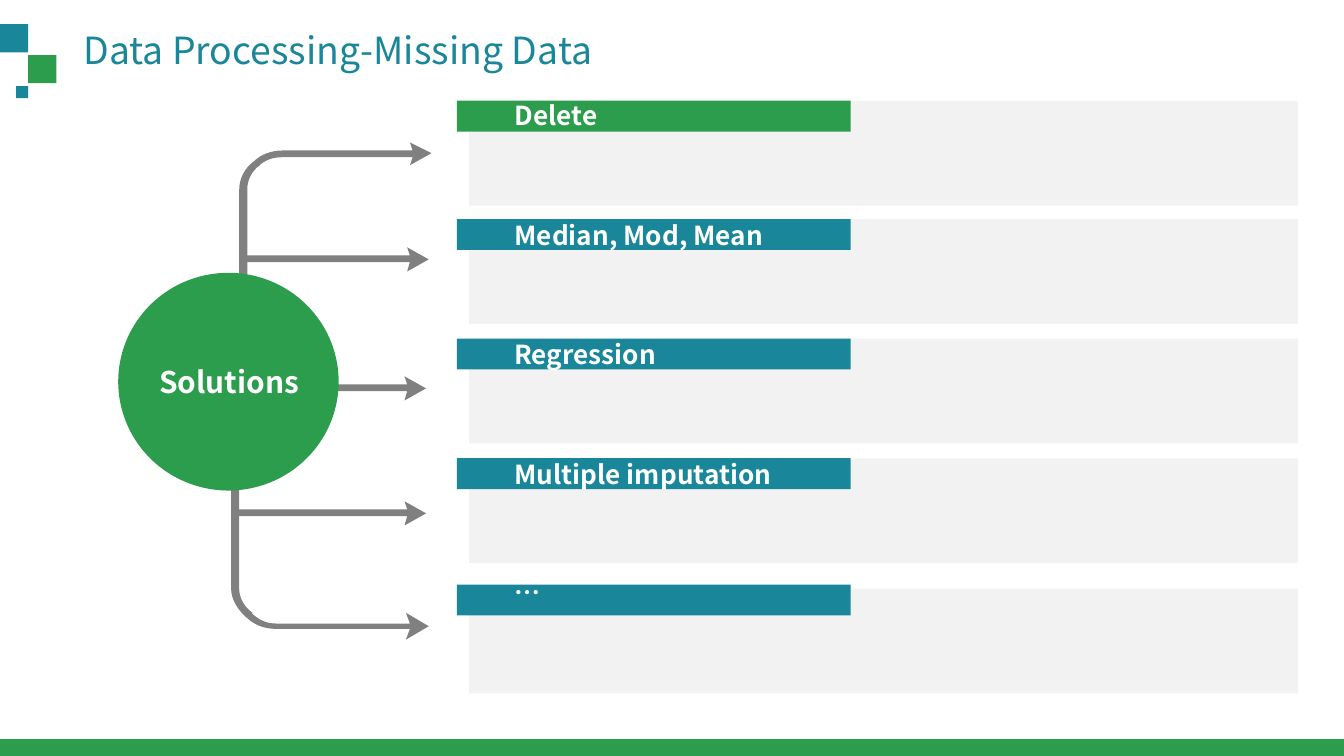
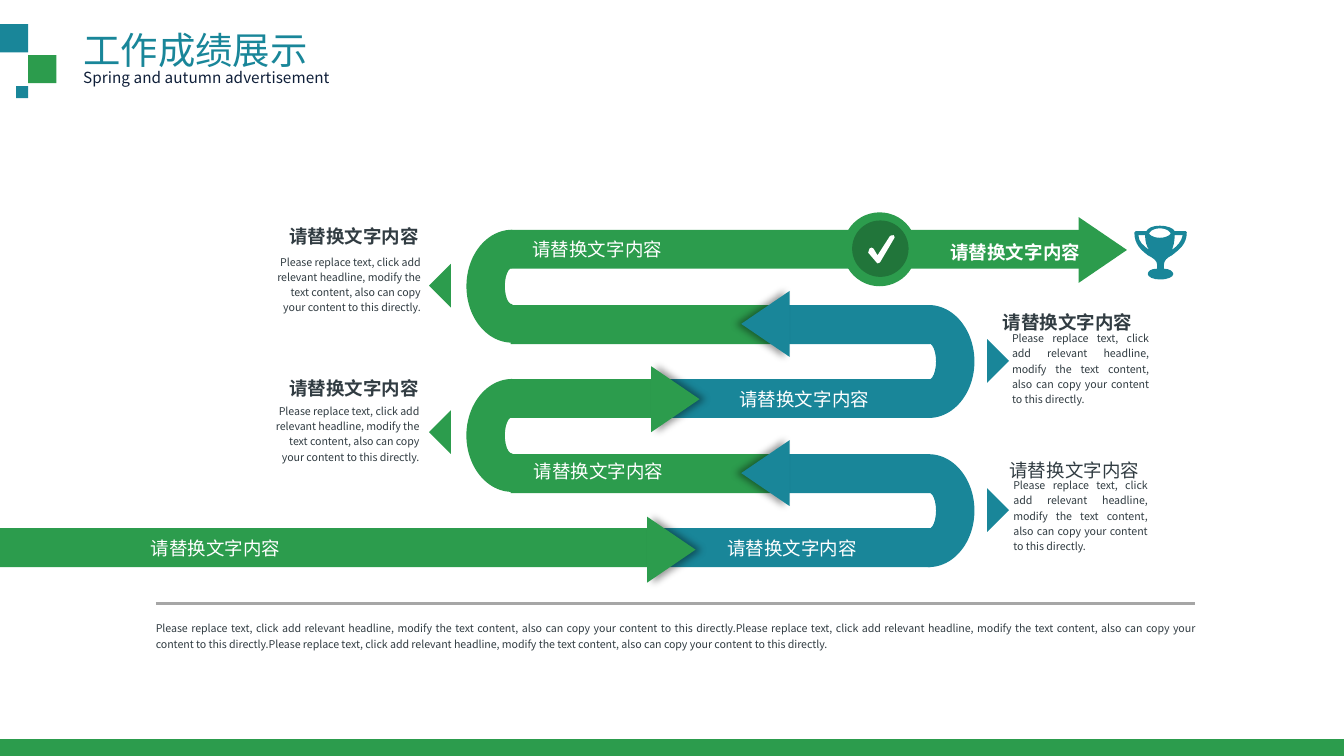
from lxml import etree
from pptx import Presentation
from pptx import util as u
from pptx.dml.color import RGBColor
from pptx.enum import shapes, text
from pptx.oxml import ns

PX = 9144  # EMU in one px, 100 px to the inch
FONT = "Noto Sans CJK SC"
TEAL = RGBColor(0x19, 0x86, 0x99)
GREEN = RGBColor(0x2C, 0x9C, 0x4D)
DARK_GREEN = RGBColor(0x21, 0x75, 0x3A)
NAVY = RGBColor(0x0F, 0x1F, 0x39)
SLATE = RGBColor(0x31, 0x3C, 0x42)
GREY = RGBColor(0x80, 0x80, 0x80)
RULE_GREY = RGBColor(0xA6, 0xA6, 0xA6)
PANEL_GREY = RGBColor(0xF2, 0xF2, 0xF2)
WHITE = RGBColor(0xFF, 0xFF, 0xFF)

KIND = shapes.MSO_SHAPE
LEFT, CENTER, RIGHT, JUSTIFY = (text.PP_ALIGN.LEFT, text.PP_ALIGN.CENTER,
                                text.PP_ALIGN.RIGHT, text.PP_ALIGN.JUSTIFY)

# Shared frame: (left, top, width, height, colour)
FRAME = [
    (0, 18, 21, 21, TEAL),
    (21, 41, 21, 21, GREEN),
    (12, 64, 9, 9, TEAL),
    (0, 550, 1000, 13, GREEN),
]

# Slide 1
MISSING_TITLE = "Data Processing-Missing Data"
HUB = "Solutions"
# label, panel top, tag top, label top, label width, tag colour
SOLUTIONS = [
    ("Delete", 75, 75, 69, 213, GREEN),
    ("Median, Mod, Mean", 163, 163, 158, 222, TEAL),
    ("Regression", 252, 252, 247, 130, TEAL),
    ("Multiple imputation", 341, 341, 336, 221, TEAL),
    ("…", 438, 435, 424, 45, TEAL),
]
STRAIGHT_ARROWS = [(176, 317, 289), (178, 319, 193), (172, 317, 382)]  # tail, tip, middle
# Outlines: two numbers are a corner, six are a Bézier curve
BENT_ARROWS = [
    [(193, 123), (187, 128, 184, 134, 184, 141), (184, 215), (178, 215), (178, 141),
     (178, 133, 182, 125, 189, 120)],
    [(307, 112), (305, 106), (321, 114), (305, 123), (307, 117), (210, 117),
     (203, 117, 197, 119, 192, 124), (189, 120), (194, 115, 202, 112, 210, 112)],
    [(178, 358), (178, 438), (178, 445, 182, 452, 188, 456), (184, 460),
     (177, 454, 172, 446, 172, 438), (172, 358)],
    [(305, 464), (302, 456), (319, 466), (302, 476), (305, 468), (205, 468),
     (197, 468, 189, 465, 184, 460), (187, 456), (192, 461, 198, 464, 205, 464)],
]

# Slide 2
RESULTS_TITLE = "工作成绩展示"
SUBTITLE = "Spring and autumn advertisement"
HEADLINE = "请替换文字内容"
BODY = ("Please replace text, click add relevant headline, modify the text content, "
        "also can copy your content to this directly.")
# headline left and top, bold, body box, alignment of headline and body
NOTES = [
    (215, 164, True, (204, 188, 109, 46), RIGHT, RIGHT),
    (215, 277, True, (204, 299, 108, 46), RIGHT, RIGHT),
    (746, 228, True, (753, 245, 102, 57), LEFT, JUSTIFY),
    (751, 338, False, (754, 354, 100, 58), LEFT, JUSTIFY),
]
POINTERS = [(324, 201, GREEN), (324, 310, GREEN), (723, 257, TEAL), (723, 368, TEAL)]
# colour, bars (left, top, width), bend corner, arrowhead corner, arrowhead shadow
ROUTE = [
    (GREEN, [(380, 227, 206), (380, 171, 423)], (339, 179), (796, 168), False),
    (TEAL, [(486, 282, 206), (587, 227, 105)], (649, 235), (545, 223), True),
    (GREEN, [(380, 338, 206), (380, 282, 105)], (339, 290), (478, 279), True),
    (TEAL, [(486, 393, 206), (587, 338, 105)], (649, 346), (545, 334), True),
    (GREEN, [(0, 393, 482)], None, (475, 391), True),
]
HEADING = {GREEN: 90, TEAL: 270}
BAR_LABELS = [(707, 176, True), (112, 396, False), (396, 174, False),
              (541, 396, False), (550, 285, False), (397, 339, False)]
BADGE = [(627, 158, 55, GREEN), (634, 164, 42, DARK_GREEN)]
CHECK = [
    [(653, 196), (653, 196, 652, 195, 652, 195), (646, 188),
     (646, 187, 646, 186, 647, 185), (648, 184, 649, 184, 650, 185), (653, 190),
     (662, 176), (662, 175, 664, 175, 665, 175), (666, 176, 666, 177, 665, 178),
     (655, 195), (655, 195, 654, 196, 653, 196)],
]
TROPHY = [
    [(866, 197), (866, 194, 868, 192, 872, 190), (877, 186, 883, 182, 883, 173),
     (883, 172, 882, 172, 881, 172), (874, 172), (873, 170, 869, 168, 863, 168),
     (857, 168, 854, 170, 853, 172), (845, 172), (844, 172, 844, 172, 844, 173),
     (844, 182, 849, 186, 854, 190), (858, 192, 861, 194, 861, 197), (861, 200),
     (856, 200, 854, 202, 854, 204), (854, 206, 858, 208, 863, 208),
     (869, 208, 873, 206, 873, 204), (873, 202, 870, 200, 866, 200)],
    [(872, 186), (873, 183, 874, 180, 874, 175), (880, 175), (879, 180, 876, 183, 872, 186)],
    [(863, 170), (869, 170, 871, 173, 871, 174), (871, 174, 869, 177, 863, 177),
     (857, 177, 855, 174, 855, 174), (855, 173, 857, 170, 863, 170)],
    [(847, 175), (852, 175), (852, 180, 853, 183, 855, 186), (851, 183, 847, 180, 847, 175)],
]


def emu(lengths):
    return [round(length * PX) for length in lengths]


def paint(shape, colour):
    shape.shadow.inherit = False
    shape.fill.solid()
    shape.fill.fore_color.rgb = colour
    shape.line.fill.background()
    return shape


def add_block(slide, kind, box, colour, rotation=0, mirrored=False):
    block = paint(slide.shapes.add_shape(kind, *emu(box)), colour)
    block.rotation = rotation
    if mirrored:
        block._element.spPr.xfrm.set("flipH", "1")
    return block


def add_outline(slide, contours, colour):
    """Lay every knot as a corner, then join each curve's three knots into one Bézier."""
    builder = None
    for start, *parts in contours:
        if builder is None:
            builder = slide.shapes.build_freeform(*emu(start))
        else:
            builder.move_to(*emu(start))
        knots = [emu(part[i:i + 2]) for part in parts for i in range(0, len(part), 2)]
        builder.add_line_segments(knots, close=True)
    outline = paint(builder.convert_to_shape(), colour)

    corners = iter(list(outline._element.iter(ns.qn("a:lnTo"))))
    for _, *parts in contours:
        for part in parts:
            first = next(corners)
            if len(part) == 6:
                first.tag = ns.qn("a:cubicBezTo")
                for corner in (next(corners), next(corners)):
                    first.append(corner[0])
                    corner.getparent().remove(corner)
    return outline


def write(shape, content, size, colour, bold=False, align=LEFT, spacing=None,
          middle=False, wrap=True, inset=None):
    frame = shape.text_frame
    frame.word_wrap = wrap
    frame.auto_size = text.MSO_AUTO_SIZE.SHAPE_TO_FIT_TEXT
    frame.vertical_anchor = text.MSO_ANCHOR.MIDDLE if middle else text.MSO_ANCHOR.TOP
    if inset is not None:
        frame.margin_left = frame.margin_right = inset
        frame.margin_top = frame.margin_bottom = inset
    paragraph = frame.paragraphs[0]
    paragraph.alignment = align
    if spacing:
        paragraph.line_spacing = spacing
    run = paragraph.add_run()
    run.text = content
    font = run.font
    font.size, font.bold, font.name = u.Pt(size), bold, FONT
    font.color.rgb = colour
    east_asian = etree.SubElement(run._r.get_or_add_rPr(), ns.qn("a:ea"))
    east_asian.set("typeface", FONT)


def add_text(slide, box, content, size, colour, **style):
    write(slide.shapes.add_textbox(*emu(box)), content, size, colour, **style)


def add_tight_text(slide, box, content, size, colour, **style):
    """Text without insets, centred vertically in its box."""
    add_text(slide, box, content, size, colour, spacing=1.2, middle=True, inset=0, **style)


def add_shadow(shape, direction):
    effects = shape._element.spPr.find(ns.qn("a:effectLst"))
    shadow = etree.SubElement(effects, ns.qn("a:outerShdw"), blurRad=str(u.Pt(4)),
                              dist=str(u.Pt(3)), dir=str(direction * 60000),
                              rotWithShape="0")
    black = etree.SubElement(shadow, ns.qn("a:srgbClr"), val="000000")
    etree.SubElement(black, ns.qn("a:alpha"), val="40000")


def start_slide(deck, title, width):
    slide = deck.slides.add_slide(deck.slide_layouts[5])
    heading = slide.shapes.title
    heading.left, heading.top, heading.width, heading.height = emu((52, 15, width, 44))
    write(heading, title, 20, TEAL, wrap=False)
    for *box, colour in FRAME:
        add_block(slide, KIND.RECTANGLE, box, colour)
    return slide


def build_missing_data(deck):
    slide = start_slide(deck, MISSING_TITLE, 422)
    for tail, tip, middle in STRAIGHT_ARROWS:
        neck, barb = tip - 14, tip - 16
        arrow = [(tail, middle - 3), (neck, middle - 3), (barb, middle - 9), (tip, middle),
                 (barb, middle + 9), (neck, middle + 2), (tail, middle + 2)]
        add_outline(slide, [arrow], GREY)
    for bent in BENT_ARROWS:
        add_outline(slide, [bent], GREY)
    add_block(slide, KIND.OVAL, (88, 203, 164, 162), GREEN)
    add_text(slide, (104, 266, 133, 36), HUB, 16, WHITE, bold=True, align=CENTER)
    for label, panel_top, tag_top, label_top, width, colour in SOLUTIONS:
        add_block(slide, KIND.RECTANGLE, (349, panel_top, 617, 78), PANEL_GREY)
        add_block(slide, KIND.RECTANGLE, (340, tag_top, 293, 23), colour)
        add_text(slide, (373, label_top, width, 33), label, 14, WHITE, bold=True,
                 wrap=label == "Delete")


def build_results(deck):
    slide = start_slide(deck, RESULTS_TITLE, 187)
    add_text(slide, (52, 42, 235, 28), SUBTITLE, 8.25, NAVY, spacing=1.3)

    rule = slide.shapes.add_connector(shapes.MSO_CONNECTOR.STRAIGHT,
                                      *emu((116, 449, 889, 449)))
    rule.line.color.rgb = RULE_GREY
    rule.line.width = u.Pt(1.5)
    etree.SubElement(rule._element.spPr, ns.qn("a:effectLst"))
    add_tight_text(slide, (116, 461, 774, 23), BODY * 3, 5.7, SLATE, align=JUSTIFY)

    for left, top, bold, body_box, headline_align, body_align in NOTES:
        add_tight_text(slide, (left, top, 97, 20), HEADLINE, 9.95, SLATE, bold=bold,
                       align=headline_align, wrap=False)
        add_tight_text(slide, body_box, BODY, 5.7, SLATE, align=body_align)
    for left, top, colour in POINTERS:
        add_block(slide, KIND.RIGHT_TRIANGLE, (left, top, 23, 23), colour,
                  135 if colour == GREEN else 225, mirrored=colour == GREEN)

    for colour, bars, bend, head, shaded in ROUTE:
        for left, top, width in bars:
            add_block(slide, KIND.RECTANGLE, (left, top, width, 29), colour)
        turn = HEADING[colour]
        if bend:
            arc = add_block(slide, KIND.BLOCK_ARC, (*bend, 84, 68), colour, 360 - turn,
                            mirrored=colour == GREEN)
            for index, value in enumerate((108, 0.56, 0.42)):
                arc.adjustments[index] = value
        arrowhead = add_block(slide, KIND.ISOSCELES_TRIANGLE, (*head, 49, 36), colour, turn,
                              mirrored=colour == TEAL)
        if shaded:
            add_shadow(arrowhead, turn - 90)

    for left, top, size, colour in BADGE:
        add_block(slide, KIND.OVAL, (left, top, size, size), colour)
    add_outline(slide, CHECK, WHITE)
    add_outline(slide, TROPHY, TEAL)
    for left, top, bold in BAR_LABELS:
        add_tight_text(slide, (left, top, 97, 20), HEADLINE, 9.95, WHITE, bold=bold,
                       align=CENTER, wrap=False)


def main():
    deck = Presentation()
    deck.slide_width, deck.slide_height = emu((1000, 562.5))
    build_missing_data(deck)
    build_results(deck)
    deck.save("out.pptx")


if __name__ == "__main__":
    main()
